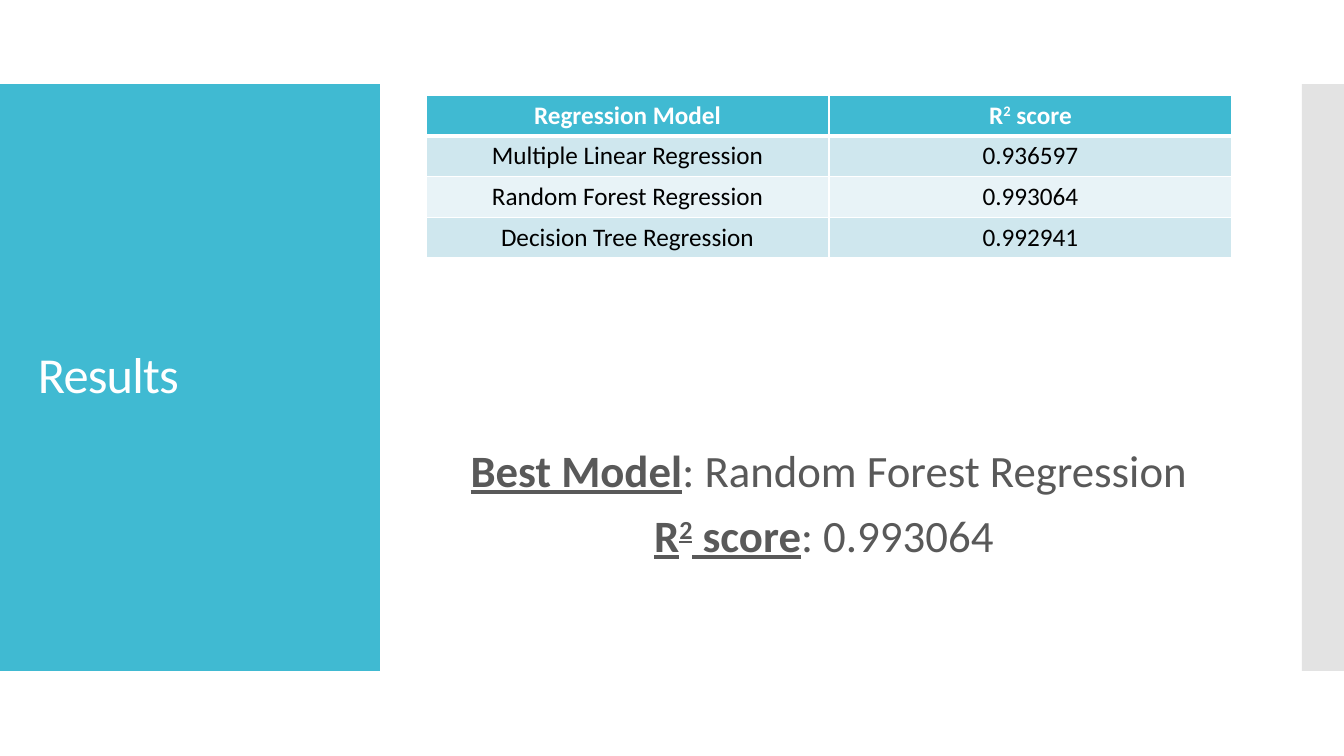
import dataclasses
import typing

import pptx
import pptx.dml.color
import pptx.enum.shapes
import pptx.enum.text
import pptx.oxml.ns
import pptx.util
from lxml import etree

EMU_PER_PIXEL = 914400 / 100.8
FONT = "Calibri"
COLORS = {
    "accent": "40BAD2",
    "edge": "C8C8C8",
    "white": "FFFFFF",
    "black": "000000",
    "body": "595959",
    "band_dark": "CFE7EE",
    "band_light": "E8F3F7",
}


@dataclasses.dataclass(frozen=True)
class Box:
    left: int
    top: int
    width: int
    height: int

    def emu(self) -> tuple[int, ...]:
        return tuple(px(n) for n in dataclasses.astuple(self))


@dataclasses.dataclass(frozen=True)
class Panel:
    box: Box
    color: str
    opacity: int = 100


@dataclasses.dataclass(frozen=True)
class Span:
    text: str
    strong: bool = False
    raised: bool = False


def px(pixels: int) -> int:
    return round(pixels * EMU_PER_PIXEL)


def rgb(name: str) -> pptx.dml.color.RGBColor:
    return pptx.dml.color.RGBColor.from_string(COLORS[name])


def sub(parent: typing.Any, tag: str, **attributes: str) -> typing.Any:
    return etree.SubElement(parent, pptx.oxml.ns.qn(tag), attributes)


def write(frame: typing.Any, lines: list[list[Span]], *, size: int, color: str,
          centered: bool = True, underline: bool = False, spacing: float = 1,
          before: int = 0, tracking: int = 0) -> None:
    """Fill a text frame with one paragraph per line of spans."""
    frame.vertical_anchor = pptx.enum.text.MSO_ANCHOR.MIDDLE
    for index, line in enumerate(lines):
        paragraph = frame.add_paragraph() if index else frame.paragraphs[0]
        align = pptx.enum.text.PP_ALIGN
        paragraph.alignment = align.CENTER if centered else align.LEFT
        paragraph.line_spacing = spacing
        paragraph.space_before = pptx.util.Pt(before)
        for span in line:
            run = paragraph.add_run()
            run.text = span.text
            run.font.name = FONT
            run.font.size = pptx.util.Pt(size)
            run.font.color.rgb = rgb(color)
            run.font.bold = span.strong
            run.font.underline = span.strong and underline
            properties = run._r.get_or_add_rPr()
            if span.raised:
                properties.set("baseline", "30000")
            if tracking:
                properties.set("spc", str(tracking))


def add_panel(slide: typing.Any, panel: Panel) -> None:
    shape = slide.shapes.add_shape(
        pptx.enum.shapes.MSO_SHAPE.RECTANGLE, *panel.box.emu())
    shape.shadow.inherit = False
    shape.fill.solid()
    shape.fill.fore_color.rgb = rgb(panel.color)
    shape.line.fill.background()
    if panel.opacity < 100:
        fill = shape._element.spPr.find(pptx.oxml.ns.qn("a:solidFill"))
        sub(fill[0], "a:alpha", val=str(panel.opacity * 1000))


def add_text(slide: typing.Any, box: Box, lines: list[list[Span]],
             **text_format: typing.Any) -> None:
    frame = slide.shapes.add_textbox(*box.emu()).text_frame
    frame.word_wrap = True
    write(frame, lines, **text_format)


def style_cell(cell: typing.Any, fill: str, top: int, bottom: int) -> None:
    """Set borders (in points), then the fill that follows them in the XML."""
    properties = cell._tc.get_or_add_tcPr()
    for side, points in {"L": 1, "R": 1, "T": top, "B": bottom}.items():
        border = sub(properties, f"a:ln{side}", w=str(pptx.util.Pt(points)))
        sub(sub(border, "a:solidFill"), "a:srgbClr", val=COLORS["white"])
    cell.fill.solid()
    cell.fill.fore_color.rgb = rgb(fill)


def add_scores(slide: typing.Any, box: Box, rows: list[list[list[Span]]]) -> None:
    table = slide.shapes.add_table(len(rows), len(rows[0]), *box.emu()).table
    for r, row in enumerate(rows):
        header = r == 0
        fill = "accent" if header else "band_dark" if r % 2 else "band_light"
        for c, spans in enumerate(row):
            cell = table.cell(r, c)
            style_cell(cell, fill, top=3 if r == 1 else 1, bottom=3 if header else 1)
            write(cell.text_frame, [spans], size=18,
                  color="white" if header else "black")
            cell.vertical_anchor = pptx.enum.text.MSO_ANCHOR.TOP


# Content
SCORE_LABEL = [Span("R", True), Span("2", True, True), Span(" score", True)]
SCORES = {
    "Multiple Linear Regression": "0.936597",
    "Random Forest Regression": "0.993064",
    "Decision Tree Regression": "0.992941",
}
best_model = max(SCORES, key=SCORES.get)
score_rows = [[[Span("Regression Model", True)], SCORE_LABEL]]
score_rows += [[[Span(model)], [Span(score)]] for model, score in SCORES.items()]
conclusion = [
    [Span("Best Model", True), Span(f": {best_model}")],
    [*SCORE_LABEL, Span(f": {SCORES[best_model]} ")],
]

# Slide
presentation = pptx.Presentation()
presentation.slide_width = px(1344)
presentation.slide_height = px(756)
results = presentation.slides.add_slide(presentation.slide_layouts[6])

# Side panels
for side_panel in (Panel(Box(0, 84, 380, 587), "accent"),
                   Panel(Box(1302, 84, 42, 587), "edge", 50)):
    add_panel(results, side_panel)

# Title, score table and conclusion
add_text(results, Box(28, 124, 325, 507), [[Span("Results")]], size=36,
         color="white", centered=False, spacing=0.9, tracking=-60)
add_scores(results, Box(426, 95, 806, 163), score_rows)
add_text(results, Box(426, 351, 806, 309), conclusion, size=32, color="body",
         underline=True, spacing=0.9, before=12)

presentation.save("out.pptx")
